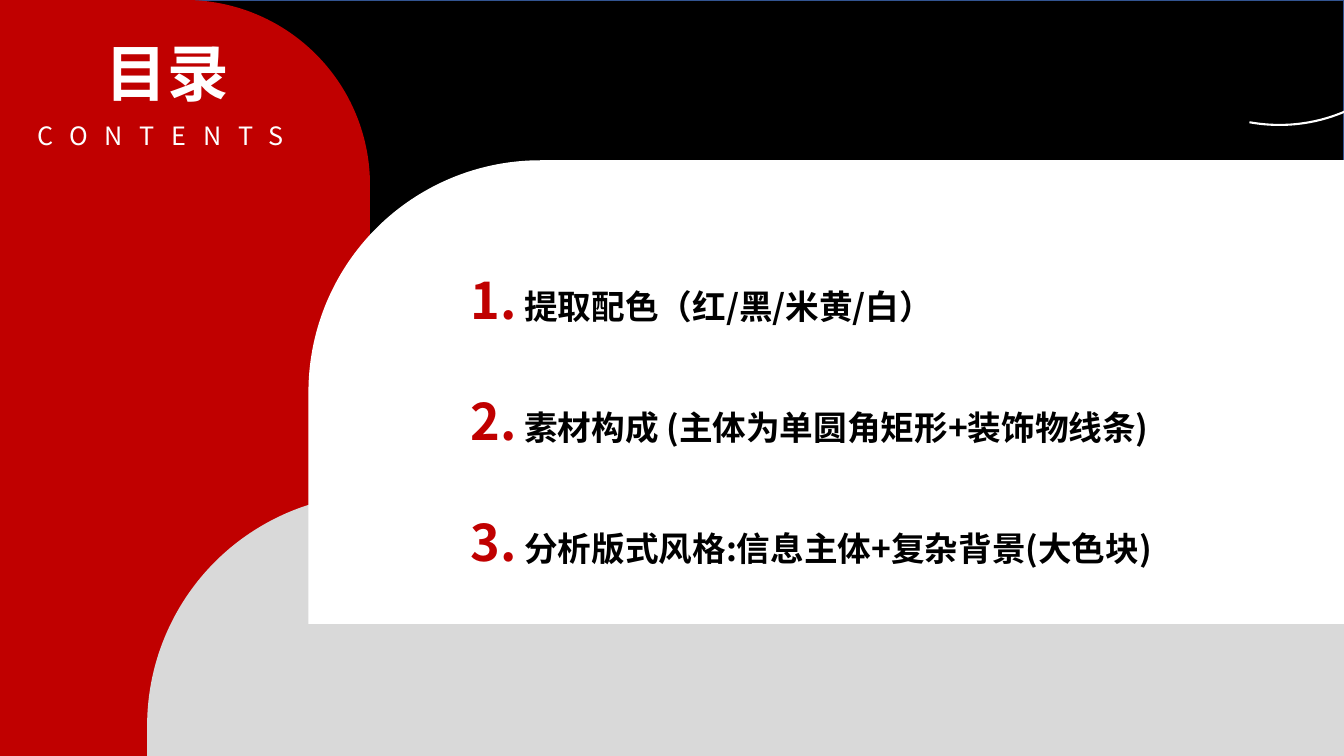
from lxml.etree import SubElement
from pptx import Presentation
from pptx.dml.color import RGBColor
from pptx.enum.shapes import MSO_SHAPE
from pptx.enum.text import MSO_AUTO_SIZE
from pptx.oxml.ns import qn
from pptx.util import Inches, Pt

WIDTH, HEIGHT = 13.33, 7.5
FONT = "Noto Sans CJK SC"
BLACK, RED, GREY, WHITE, EDGE = "000000", "C00000", "D9D9D9", "FFFFFF", "325491"
TITLE, SUBTITLE = "目录", "CONTENTS"
TOPICS = [
    " 提取配色（红/黑/米黄/白）",
    " 素材构成 (主体为单圆角矩形+装饰物线条)",
    " 分析版式风格:信息主体+复杂背景(大色块)",
]
PANEL_HEIGHT = 4.6
PANELS = [
    (0, 0, 3.67, HEIGHT, RED, False),
    (1.46, 4.9, WIDTH - 1.46, PANEL_HEIGHT, GREY, True),
    (3.06, 1.59, WIDTH - 3.06, PANEL_HEIGHT, WHITE, True),
]
ARC_ANGLES = (39.78, 101.19)


def color(hex_code):
    return RGBColor.from_string(hex_code)


def add_shape(kind, box, fill=None, line=None, weight=1):
    shape = page.shapes.add_shape(kind, *map(Inches, box))
    shape.shadow.inherit = False
    if fill:
        shape.fill.solid()
        shape.fill.fore_color.rgb = color(fill)
    else:
        shape.fill.background()
    if line:
        shape.line.color.rgb = color(line)
        shape.line.width = Pt(weight)
    else:
        shape.line.fill.background()
    return shape


def add_text(box, lines, size, ink, bold=False, wrap=False, spacing=0):
    frame = page.shapes.add_textbox(*map(Inches, box)).text_frame
    frame.word_wrap = wrap
    frame.auto_size = MSO_AUTO_SIZE.SHAPE_TO_FIT_TEXT
    frame.text = "\n".join(lines)
    for para in frame.paragraphs:
        font = para.font
        font.name, font.size, font.bold = FONT, Pt(size), bold
        font.color.rgb = color(ink)
        for span in para.runs:
            properties = span._r.get_or_add_rPr()
            SubElement(properties, qn("a:ea")).set("typeface", FONT)
            if spacing:
                properties.set("spc", str(spacing * 100))
    return frame


def number(para, indent, ink, percent):
    properties = para._p.get_or_add_pPr()
    properties.set("marL", str(Inches(indent)))
    properties.set("indent", str(-Inches(indent)))
    bullet_color = properties.makeelement(qn("a:buClr"), {})
    SubElement(bullet_color, qn("a:srgbClr")).set("val", ink)
    bullet_size = properties.makeelement(qn("a:buSzPct"), {"val": str(percent * 1000)})
    bullet_type = properties.makeelement(qn("a:buAutoNum"), {"type": "arabicPeriod"})
    defaults = properties.find(qn("a:defRPr"))
    for part in (bullet_color, bullet_size, bullet_type):
        defaults.addprevious(part)


deck = Presentation()
deck.slide_width, deck.slide_height = Inches(WIDTH), Inches(HEIGHT)
page = deck.slides.add_slide(deck.slide_layouts[6])

add_shape(MSO_SHAPE.RECTANGLE, (0, 0, WIDTH, HEIGHT), BLACK, EDGE)
for *box, fill, flipped in PANELS:
    panel = add_shape(MSO_SHAPE.ROUND_1_RECTANGLE, box, fill)
    panel.adjustments[0] = 0.5
    if flipped:
        panel._element.spPr.xfrm.set("flipH", "1")

arc = add_shape(MSO_SHAPE.ARC, (11.1, -1.82, 3.18, 3.06), line=WHITE, weight=1.5)
for index, angle in enumerate(ARC_ANGLES):
    arc.adjustments[index] = angle * 60000 / 100000

add_text((0.95, 0.3, 1.44, 0.84), [TITLE], 44, WHITE, bold=True)
add_text((0.27, 1.14, 2.78, 0.4), [SUBTITLE], 18, WHITE, spacing=12)
topics = add_text((4.57, 1.99, 8.2, 3.51), TOPICS, 24, BLACK, bold=True, wrap=True)
for para in topics.paragraphs:
    para.line_spacing = 3.0
    number(para, 0.38, RED, 150)

deck.save("out.pptx")
